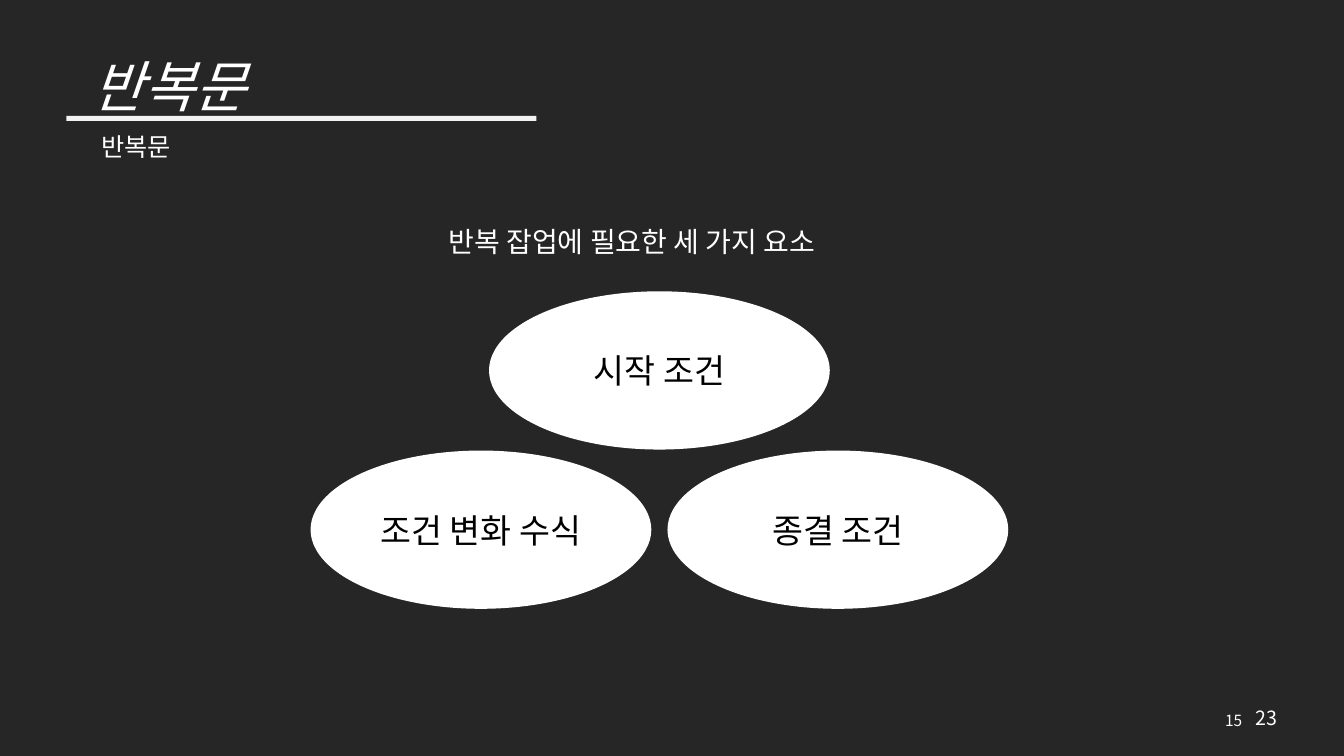
from typing import NamedTuple

from lxml.etree import SubElement
from pptx import Presentation
from pptx.dml.color import RGBColor
from pptx.enum.shapes import MSO_SHAPE as Preset
from pptx.enum.text import MSO_ANCHOR as Anchor, MSO_AUTO_SIZE as AutoSize, PP_ALIGN as Align
from pptx.oxml.ns import qn
from pptx.util import Inches, Pt

KOREAN = "Noto Sans CJK KR"
DARK, WHITE, PALE, BLACK = "262626", "FFFFFF", "F2F2F2", "000000"


class Area(NamedTuple):
    left: float
    top: float
    width: float
    height: float


class Label(NamedTuple):
    text: str
    area: Area
    size: float
    font: str = KOREAN
    align: Align = Align.LEFT
    anchor: Anchor = Anchor.TOP
    wrap: bool = True


class Condition(NamedTuple):
    text: str
    left: float
    top: float


def color(value: str) -> RGBColor:
    return RGBColor.from_string(value)


def write(shape, label: Label, ink: str, italic: bool = False) -> None:
    """Put one formatted line of text into a shape."""
    frame = shape.text_frame
    for name, value in {"word_wrap": label.wrap, "auto_size": AutoSize.NONE,
                        "vertical_anchor": label.anchor}.items():
        setattr(frame, name, value)
    para = frame.paragraphs[0]
    para.alignment = label.align
    span = para.add_run()
    span.text = label.text
    for name, value in {"size": Pt(label.size), "name": label.font,
                        "italic": italic}.items():
        setattr(span.font, name, value)
    span.font.color.rgb = color(ink)
    # Korean glyphs take the East Asian font
    SubElement(span.font._element, qn("a:ea"), typeface=KOREAN)


def add_filled(page, preset: Preset, area: Area, fill: str):
    shape = page.shapes.add_shape(preset, *map(Inches, area))
    shape.shadow.inherit = False
    shape.fill.solid()
    shape.fill.fore_color.rgb = color(fill)
    shape.line.fill.background()
    return shape


def add_label(page, label: Label) -> None:
    box = page.shapes.add_textbox(*map(Inches, label.area))
    write(box, label, WHITE)


def add_condition(page, condition: Condition) -> None:
    area = Area(condition.left, condition.top, OVAL_WIDTH, OVAL_HEIGHT)
    oval = add_filled(page, Preset.OVAL, area, WHITE)
    label = Label(condition.text, area, 24, "Calibri", Align.CENTER, Anchor.MIDDLE)
    write(oval, label, BLACK)


deck = Presentation()
deck.slide_width, deck.slide_height = Inches(13.33), Inches(7.5)
page = deck.slides.add_slide(deck.slide_layouts[5])
page.background.fill.solid()
page.background.fill.fore_color.rgb = color(DARK)

# Title with its rule
heading = Label("반복문", Area(0.66, 0.57, 2.03, 0.63), 39.6,
                align=Align.CENTER, anchor=Anchor.MIDDLE, wrap=False)
title = page.shapes.title
for name, value in heading.area._asdict().items():
    setattr(title, name, Inches(value))
write(title, heading, WHITE, italic=True)
title.text_frame.paragraphs[0].line_spacing = 0.9
add_filled(page, Preset.RECTANGLE, Area(0.66, 1.15, 4.66, 0.05), PALE)

# Subtitle, lead line and page numbers
for label in (
    Label("반복문", Area(0.91, 1.25, 2.86, 0.4), 18, "Calibri"),
    Label("반복 잡업에 필요한 세 가지 요소", Area(4.35, 2.18, 4.34, 0.44), 20, wrap=False),
    Label("15", Area(11.16, 6.95, 1.26, 0.4), 11, align=Align.RIGHT, anchor=Anchor.MIDDLE),
    Label("23", Area(12.35, 6.95, 0.42, 0.34), 14, wrap=False),
):
    add_label(page, label)

# Pyramid of three conditions: the top one is centred over the lower pair
OVAL_WIDTH, OVAL_HEIGHT = 3.38, 1.57
LEFT, TOP, STEP = 3.08, 2.89, 3.54
LOWER = TOP + OVAL_HEIGHT + 0.01
for condition in (
    Condition("조건 변화 수식", LEFT, LOWER),
    Condition("종결 조건", LEFT + STEP, LOWER),
    Condition("시작 조건", LEFT + STEP / 2, TOP),
):
    add_condition(page, condition)

deck.save("out.pptx")
